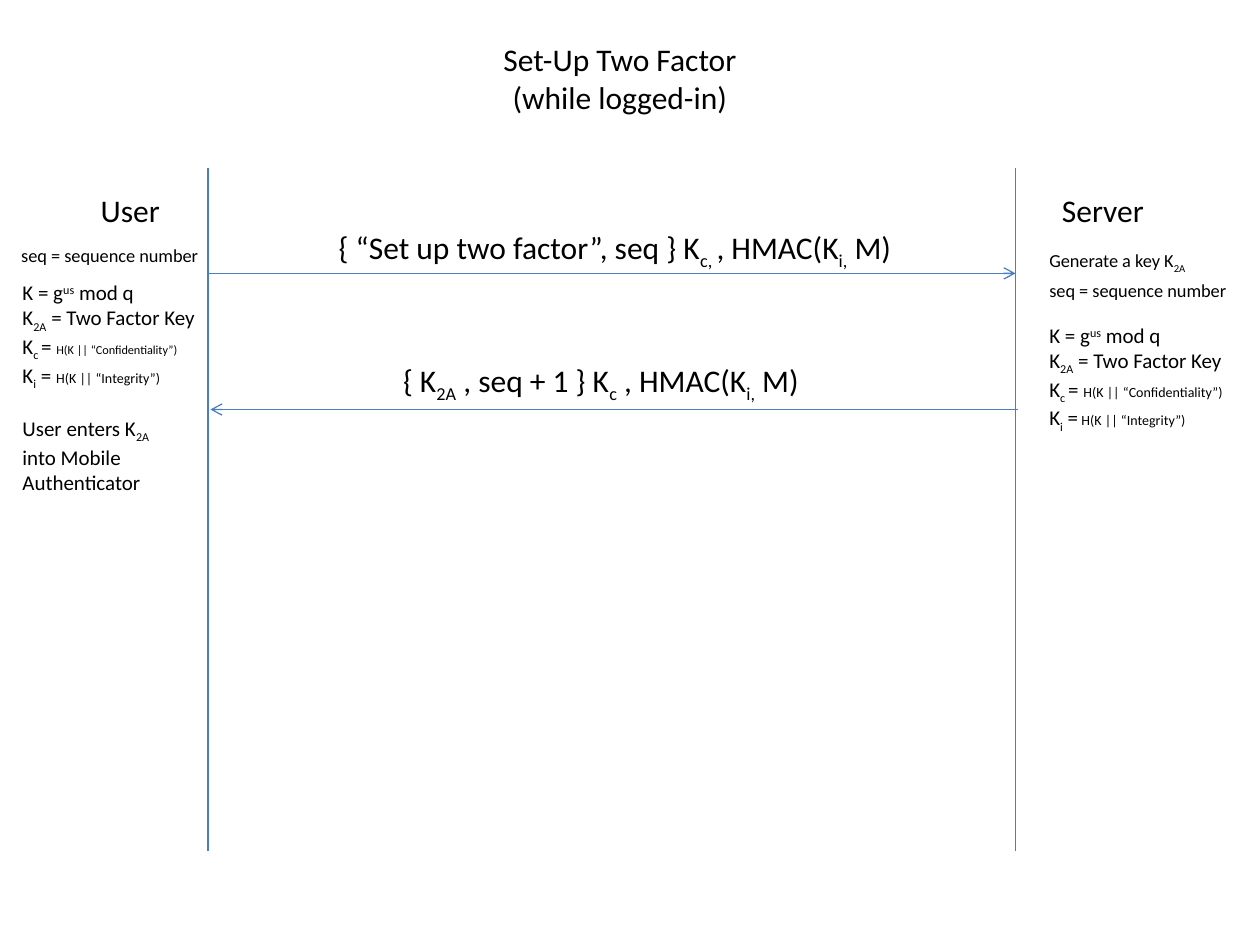
import pptx
import pptx.dml.color
import pptx.enum.shapes
import pptx.enum.text
import pptx.oxml.ns
import pptx.util
from lxml import etree

Inches = pptx.util.Inches
FONT = "Calibri"
TEXT = "000000"
LINE = "4B7EBC"
USER_X, SERVER_X = 1.65, 8.06
SUBSCRIPT, SUPERSCRIPT = -25000, 30000


def color(value):
    return pptx.dml.color.RGBColor.from_string(value)


# A span is plain text or a tuple of text, baseline shift and size
def sub(text):
    return text, SUBSCRIPT, None


def sup(text):
    return text, SUPERSCRIPT, None


def small(text, size):
    return text, None, size


def add_span(para, span):
    text, baseline, size = (span, None, None) if isinstance(span, str) else span
    run = para.add_run()
    run.text = text
    if size:
        run.font.size = pptx.util.Pt(size)
    if baseline:
        run._r.get_or_add_rPr().set("baseline", str(baseline))


def add_text(page, place, size, paragraphs, wrap=True, centered=False):
    box = page.shapes.add_textbox(*[Inches(length) for length in place])
    frame = box.text_frame
    frame.word_wrap = wrap
    frame.auto_size = pptx.enum.text.MSO_AUTO_SIZE.SHAPE_TO_FIT_TEXT
    for index, spans in enumerate(paragraphs):
        para = frame.add_paragraph() if index else frame.paragraphs[0]
        para.font.name = FONT
        para.font.size = pptx.util.Pt(size)
        para.font.color.rgb = color(TEXT)
        if centered:
            para.alignment = pptx.enum.text.PP_ALIGN.CENTER
        for span in spans:
            add_span(para, span)


def add_line(page, start, end, arrow=False):
    line = page.shapes.add_connector(
        pptx.enum.shapes.MSO_CONNECTOR.STRAIGHT,
        *[Inches(length) for length in start + end])
    line.line.color.rgb = color(LINE)
    line.line.width = pptx.util.Pt(0.75)
    qn = pptx.oxml.ns.qn
    if arrow:
        etree.SubElement(line.line._get_or_add_ln(), qn("a:tailEnd"), type="arrow")
    etree.SubElement(line._element.spPr, qn("a:effectLst"))


def add_keys(page, left, top, confidentiality_size, integrity_end):
    add_text(page, (left, top, 1.67, 0.91), 12, [
        ["K = g", sup("us"), " mod q"],
        ["K", sub("2A"), " = Two Factor Key"],
        ["K", sub("c "), "= ",
         small("H(K || “Confidentiality”)", confidentiality_size)],
        ["K", sub("i"), *integrity_end],
    ])


def main():
    deck = pptx.Presentation()
    deck.slide_width, deck.slide_height = Inches(10), Inches(7.5)
    page = deck.slides.add_slide(deck.slide_layouts[6])

    # Title
    add_text(page, (3.88, 0.27, 2.08, 0.71), 18,
             [["Set-Up Two Factor"], ["(while logged-in)"]],
             wrap=False, centered=True)

    # Lifelines and their names
    for x in (USER_X, SERVER_X):
        add_line(page, (x, 1.33), (x, 6.75))
    add_text(page, (0.7, 1.47, 0.68, 0.4), 18, [["User"]], wrap=False)
    add_text(page, (8.33, 1.47, 0.86, 0.4), 18, [["Server"]], wrap=False)

    # Messages
    add_line(page, (USER_X, 2.17), (SERVER_X, 2.17), arrow=True)
    add_text(page, (2.59, 1.76, 4.66, 0.4), 18, [
        ["{ “Set up two factor”, seq } K", sub("c, "), ", HMAC(K",
         sub("i,"), " M)"]], wrap=False)
    add_line(page, (SERVER_X + 0.02, 3.25), (USER_X + 0.02, 3.25), arrow=True)
    add_text(page, (3.1, 2.82, 3.55, 0.4), 18, [
        ["{ K", sub("2A"), " , seq + 1 } K", sub("c"), " , HMAC(K",
         sub("i,"), " M)"]], wrap=False)

    # Sequence numbers and keys on both sides
    for left, top in ((0.07, 1.89), (8.23, 2.17)):
        add_text(page, (left, top, 1.77, 0.28), 10.5, [["seq = sequence number"]])
    add_keys(page, 0.08, 2.17, 7, [" = ", small("H(K || “Integrity”)", 8)])
    add_keys(page, 8.23, 2.51, 8, [" =", small(" H(K || “Integrity”)", 8)])

    # Steps taken by each side
    add_text(page, (8.23, 1.93, 1.77, 0.28), 10.5,
             [["Generate a key K", sub("2A")]])
    add_text(page, (0.08, 3.25, 1.46, 0.71), 12,
             [["User enters K", sub("2A"), " into Mobile Authenticator"]])

    deck.save("out.pptx")


main()
